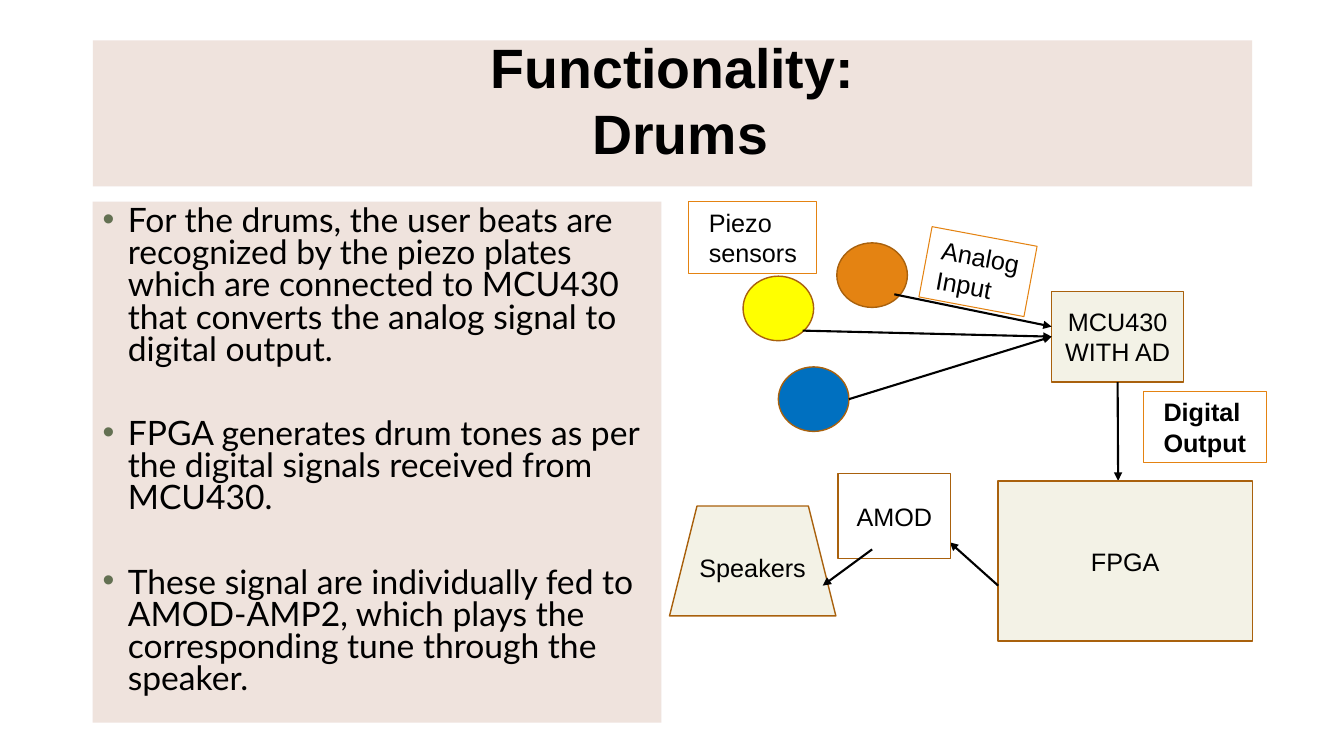
from dataclasses import dataclass
from typing import Any, Optional

from lxml import etree
from pptx import Presentation
from pptx.dml.color import RGBColor
from pptx.enum.shapes import MSO_CONNECTOR, MSO_SHAPE
from pptx.enum.text import MSO_ANCHOR, PP_ALIGN
from pptx.oxml.ns import qn
from pptx.util import Emu, Pt

EMU_PER_PX = 9144
COLORS = {
    "panel": "EBDCD5",
    "block": "F3F2E6",
    "block_line": "A9610D",
    "orange": "E48312",
    "yellow": "FFFF00",
    "blue": "0070C0",
    "white": "FFFFFF",
    "black": "000000",
    "bullet": "637052",
}
FONTS = {
    "title": {"name": "Arial", "size": Pt(39.6), "bold": True},
    "body": {"name": "Lato", "size": Pt(24)},
    "diagram": {"name": "Arial", "size": Pt(18)},
    "strong": {"name": "Arial", "size": Pt(18), "bold": True},
}
TITLE = "Functionality:\v Drums"
BODY = [
    "For the drums, the user beats are recognized by the piezo plates which are "
    "connected to MCU430 that converts the analog signal to digital output.",
    "FPGA generates drum tones as per the digital signals received from MCU430.",
    "These signal are individually fed to AMOD-AMP2, which plays the "
    "corresponding tune through the speaker.",
]
CONTROLLER = "MCU430 WITH AD"


@dataclass(frozen=True)
class Node:
    text: str
    box: tuple[int, int, int, int]
    fill: str = "block"
    kind: MSO_SHAPE = MSO_SHAPE.RECTANGLE
    line: str = "block_line"
    line_width: float = 1
    font: str = "diagram"
    align: PP_ALIGN = PP_ALIGN.CENTER
    left_inset: int = 5
    rotation: float = 0


@dataclass(frozen=True)
class Arrow:
    start: tuple[int, int]
    end: tuple[int, int]
    begin_at: Optional[tuple[str, int]] = None
    end_at: Optional[tuple[str, int]] = None


def drum(left: int, top: int, fill: str) -> Node:
    return Node("", (left, top, 70, 64), fill, MSO_SHAPE.OVAL)


def label(text: str, box: tuple[int, int, int, int], left_inset: int,
          rotation: float = 0, font: str = "diagram") -> Node:
    return Node(text, box, "white", line="orange", line_width=0.75, font=font,
                align=PP_ALIGN.LEFT, left_inset=left_inset, rotation=rotation)


DIAGRAM = [
    Node(CONTROLLER, (1043, 289, 131, 90)),
    drum(830, 241, "orange"),
    drum(737, 274, "yellow"),
    drum(772, 364, "blue"),
    Arrow((842, 396), (1043, 334), end_at=(CONTROLLER, 1)),
    Arrow((887, 292), (1043, 324)),
    Arrow((796, 328), (1043, 334), end_at=(CONTROLLER, 1)),
    label("Piezo sensors", (683, 200, 127, 71), 20),
    label("Analog Input", (917, 234, 106, 71), 14, rotation=10.6),
    Arrow((1109, 379), (1109, 477), begin_at=(CONTROLLER, 2)),
    label("Digital Output", (1134, 388, 122, 71), 20, font="strong"),
    Node("FPGA", (990, 477, 252, 159)),
    Arrow((990, 581), (942, 538)),
    Node("Speakers", (664, 502, 165, 109), kind=MSO_SHAPE.TRAPEZOID),
    Node("AMOD", (831, 470, 112, 84), "white"),
    Arrow((865, 545), (816, 581)),
]


def px(value: int) -> Emu:
    return Emu(value * EMU_PER_PX)


def color(name: str) -> RGBColor:
    return RGBColor.from_string(COLORS[name])


def apply(target: Any, values: dict[str, Any]) -> None:
    for attribute, value in values.items():
        setattr(target, attribute, value)


def place(shape: Any, box: tuple[int, int, int, int]) -> None:
    apply(shape, dict(zip(("left", "top", "width", "height"), map(px, box))))


def style_font(font: Any, style: str) -> None:
    apply(font, FONTS[style])
    font.color.rgb = color("black")


def fill_panel(shape: Any) -> None:
    shape.fill.solid()
    shape.fill.fore_color.rgb = color("panel")
    rgb = shape.fill._xPr.find(f".//{qn('a:srgbClr')}")
    etree.SubElement(rgb, qn("a:alpha"), val="80000")


def add_title(slide: Any) -> None:
    title = slide.shapes.title
    place(title, (92, 40, 1150, 145))
    fill_panel(title)
    frame = title.text_frame
    apply(frame, {"vertical_anchor": MSO_ANCHOR.MIDDLE, "word_wrap": True,
                  "margin_top": 0, "margin_bottom": px(28)})
    frame.text = TITLE
    paragraph = frame.paragraphs[0]
    apply(paragraph, {"alignment": PP_ALIGN.CENTER, "line_spacing": 1.0})
    for run in paragraph.runs:
        style_font(run.font, "title")


def add_bullet(paragraph: Any) -> None:
    properties = paragraph._p.get_or_add_pPr()
    properties.set("marL", str(px(25)))
    properties.set("indent", str(px(-25)))
    bullet_color = etree.SubElement(properties, qn("a:buClr"))
    etree.SubElement(bullet_color, qn("a:srgbClr"), val=COLORS["bullet"])
    etree.SubElement(properties, qn("a:buFont"), typeface="Arial")
    etree.SubElement(properties, qn("a:buChar"), char="•")


def add_body(slide: Any) -> None:
    body = slide.shapes.add_textbox(*map(px, (92, 200, 564, 517)))
    fill_panel(body)
    frame = body.text_frame
    frame.word_wrap = True
    for index, text in enumerate(BODY):
        paragraph = frame.add_paragraph() if index else frame.paragraphs[0]
        apply(paragraph, {"line_spacing": 0.8, "space_before": Pt(37 if index else 0)})
        add_bullet(paragraph)
        run = paragraph.add_run()
        run.text = text
        style_font(run.font, "body")


def add_node(slide: Any, node: Node) -> Any:
    shape = slide.shapes.add_shape(node.kind, *map(px, node.box))
    shape.rotation = node.rotation
    shape.shadow.inherit = False
    shape.fill.solid()
    shape.fill.fore_color.rgb = color(node.fill)
    shape.line.color.rgb = color(node.line)
    shape.line.width = Pt(node.line_width)
    if node.text:
        frame = shape.text_frame
        apply(frame, {"word_wrap": True, "vertical_anchor": MSO_ANCHOR.MIDDLE,
                      "margin_left": px(node.left_inset), "margin_right": px(5)})
        frame.text = node.text
        paragraph = frame.paragraphs[0]
        paragraph.alignment = node.align
        style_font(paragraph.runs[0].font, node.font)
    return shape


def add_arrow(slide: Any, arrow: Arrow, nodes: dict[str, Any]) -> None:
    connector = slide.shapes.add_connector(
        MSO_CONNECTOR.STRAIGHT, *map(px, arrow.start + arrow.end))
    if arrow.begin_at:
        connector.begin_connect(nodes[arrow.begin_at[0]], arrow.begin_at[1])
    if arrow.end_at:
        connector.end_connect(nodes[arrow.end_at[0]], arrow.end_at[1])
    connector.line.color.rgb = color("black")
    connector.line.width = Pt(1.5)
    etree.SubElement(connector.line._get_or_add_ln(), qn("a:tailEnd"), type="triangle")
    etree.SubElement(connector._element.spPr, qn("a:effectLst"))


def main() -> None:
    presentation = Presentation()
    apply(presentation, {"slide_width": px(1333), "slide_height": px(750)})
    slide = presentation.slides.add_slide(presentation.slide_layouts[5])
    add_title(slide)
    add_body(slide)
    nodes: dict[str, Any] = {}
    for item in DIAGRAM:
        if isinstance(item, Node):
            nodes[item.text] = add_node(slide, item)
        else:
            add_arrow(slide, item, nodes)
    presentation.save("out.pptx")


if __name__ == "__main__":
    main()
